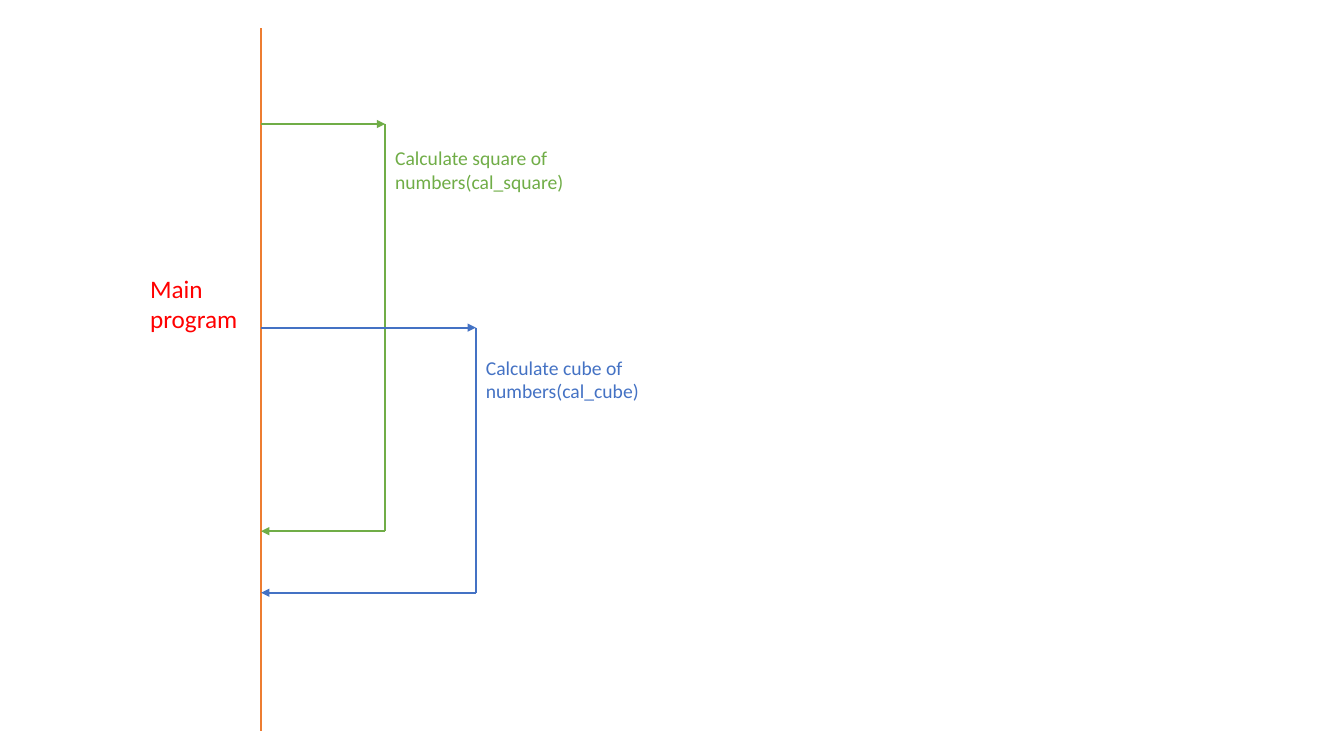
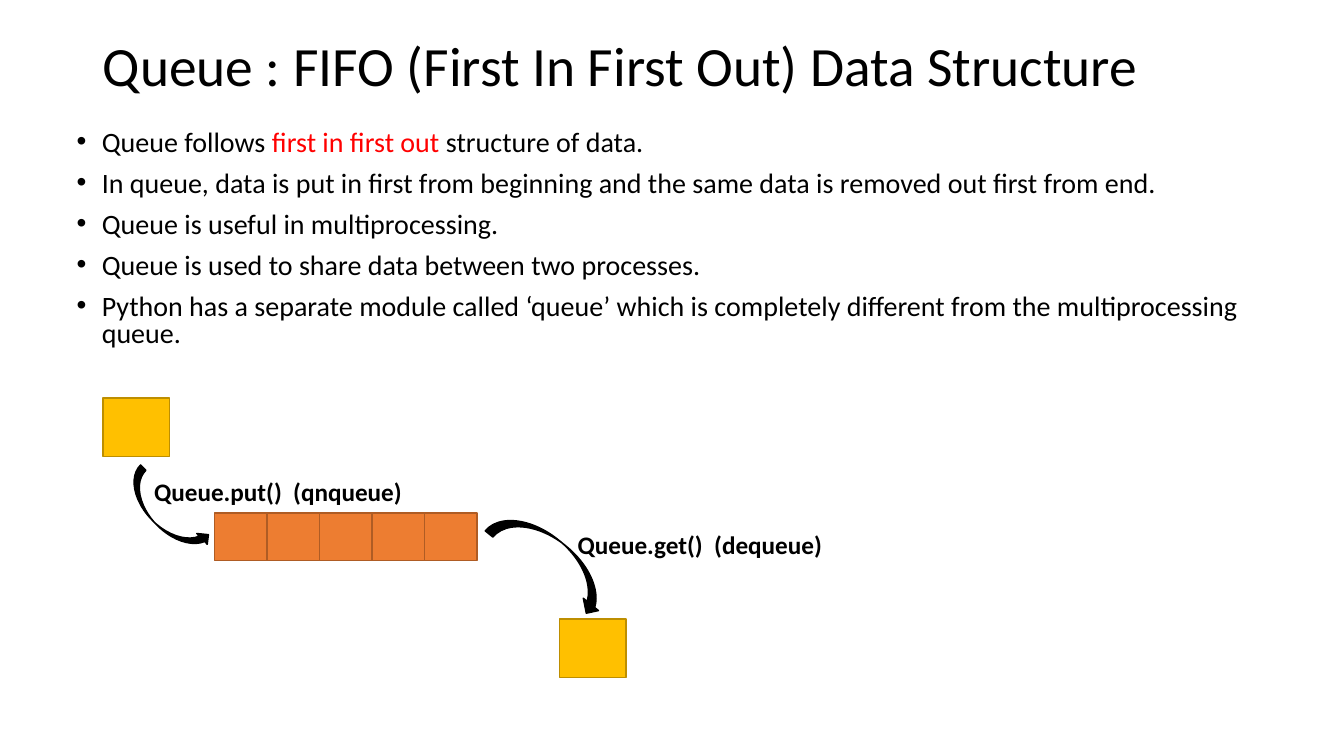
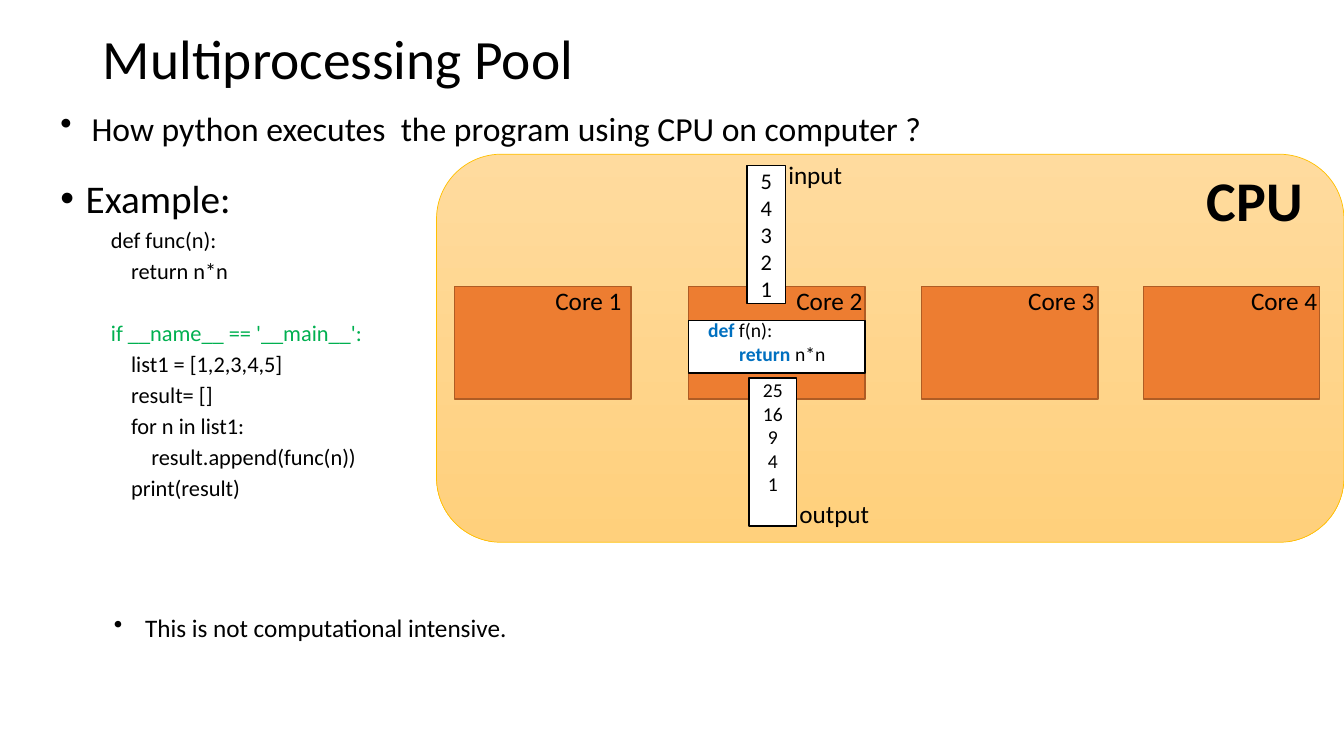
from lxml.etree import SubElement
from pptx import Presentation
from pptx.dml.color import RGBColor
from pptx.enum.shapes import MSO_CONNECTOR, MSO_SHAPE
from pptx.enum.text import MSO_ANCHOR, MSO_AUTO_SIZE, PP_ALIGN
from pptx.oxml.ns import qn
from pptx.util import Inches, Pt

FONT = "Calibri"
COLORS = {
    "black": "000000", "white": "FFFFFF", "red": "FF0000",
    "orange": "ED7D31", "orange_edge": "AF5C24",
    "gold": "FFC000", "gold_edge": "BD8E00",
    "green": "70AD47", "blue": "4472C4",
    "code_green": "00B050", "keyword": "0070C0",
    "cpu_top": "FFDB9E", "cpu_bottom": "FFD07C",
}
BLANK, TITLE_BODY = 6, 1


def rgb(name):
    return RGBColor.from_string(COLORS[name])


class Deck:
    """Holds the shared style and the slide being built."""

    def __init__(self):
        self.prs = Presentation()
        self.prs.slide_width = Inches(13.33)
        self.prs.slide_height = Inches(7.5)
        self.s = None

    def new_slide(self, layout):
        self.s = self.prs.slides.add_slide(self.prs.slide_layouts[layout])

    def place(self, sp, x, y, w, h):
        sp.left, sp.top, sp.width, sp.height = map(Inches, (x, y, w, h))

    def style(self, p, size, color="black", bold=False):
        for r in p.runs:
            r.font.name, r.font.size, r.font.bold = FONT, Pt(size), bold
            r.font.color.rgb = rgb(color)

    def indent(self, p, left, hanging=0):
        """Set the indent; a hanging one gets a bullet."""
        pPr = p._p.get_or_add_pPr()
        pPr.set("marL", str(Inches(left)))
        pPr.set("indent", str(-Inches(hanging)))
        if hanging:
            SubElement(pPr, qn("a:buChar")).set("char", "•")
        else:
            SubElement(pPr, qn("a:buNone"))

    def color_runs(self, p, pieces, size):
        """Fill a paragraph with (text, colour, bold) pieces."""
        for text, color, bold in pieces:
            r = p.add_run()
            r.text = text
            r.font.name, r.font.size, r.font.bold = FONT, Pt(size), bold
            r.font.color.rgb = rgb(color)

    def title(self, text, w, h):
        sp = self.s.shapes.title
        self.place(sp, 0.92, 0.4, w, h)
        tf = sp.text_frame
        tf.text = text
        tf.auto_size = MSO_AUTO_SIZE.NONE
        tf.vertical_anchor = MSO_ANCHOR.MIDDLE
        p = tf.paragraphs[0]
        p.alignment, p.line_spacing = PP_ALIGN.LEFT, 0.9
        self.style(p, 39.6)

    def body(self, lines, x, y, w, h):
        sp = self.s.placeholders[1]
        self.place(sp, x, y, w, h)
        tf = sp.text_frame
        tf.text = "\n".join(lines)
        tf.auto_size = MSO_AUTO_SIZE.NONE
        return tf.paragraphs

    def label(self, text, x, y, w, h, size=18, color="black", bold=False, bullet=False):
        sp = self.s.shapes.add_textbox(*map(Inches, (x, y, w, h)))
        tf = sp.text_frame
        tf.text = text
        tf.word_wrap = False
        tf.auto_size = MSO_AUTO_SIZE.SHAPE_TO_FIT_TEXT
        for p in tf.paragraphs:
            if bullet:
                self.indent(p, 0.31, 0.31)
            self.style(p, size, color, bold)
        return tf

    def shape(self, kind, x, y, w, h, fill, edge, width=1, rotation=0):
        sp = self.s.shapes.add_shape(kind, *map(Inches, (x, y, w, h)))
        sp.shadow.inherit = False
        sp.rotation = rotation
        sp.fill.solid()
        sp.fill.fore_color.rgb = rgb(fill)
        sp.line.color.rgb = rgb(edge)
        sp.line.width = Pt(width)
        return sp

    def box(self, x, y, w, h, fill="orange", edge="orange_edge"):
        return self.shape(MSO_SHAPE.RECTANGLE, x, y, w, h, fill, edge)

    def number_stack(self, numbers, x, y, w, h, size, anchor):
        tf = self.box(x, y, w, h, "white", "black").text_frame
        tf.margin_left = tf.margin_right = tf.margin_top = tf.margin_bottom = 0
        tf.vertical_anchor = anchor
        tf.text = "\n".join(map(str, numbers))
        for p in tf.paragraphs:
            p.alignment = PP_ALIGN.CENTER
            self.style(p, size)

    def line(self, x1, y1, x2, y2, color, arrow=False):
        c = self.s.shapes.add_connector(
            MSO_CONNECTOR.STRAIGHT, *map(Inches, (x1, y1, x2, y2)))
        c.line.color.rgb = rgb(color)
        c.line.width = Pt(1.5)
        if arrow:
            SubElement(c.line._get_or_add_ln(), qn("a:tailEnd")).set("type", "triangle")
        SubElement(c._element.spPr, qn("a:effectLst"))


def program_flow(d):
    d.new_slide(BLANK)
    main_x = 2.59
    d.line(main_x, 0.28, main_x, 7.25, "orange")
    d.label("Main\nprogram", 1.39, 2.66, 1.08, 0.71, color="red")

    # Each call leaves the main line and returns to it
    calls = [
        (3.82, 1.23, 5.27, "green", "Calculate square of\nnumbers(cal_square)", 1.4, 1.89),
        (4.72, 3.25, 5.88, "blue", "Calculate cube of\nnumbers(cal_cube)", 3.48, 1.73),
    ]
    for x, start, end, color, text, text_y, text_w in calls:
        d.line(main_x, start, x, start, color, arrow=True)
        d.line(x, start, x, end, color)
        d.line(x, end, main_x, end, color, arrow=True)
        d.label(text, x, text_y, text_w, 0.57, 14, color)


def queue(d):
    d.new_slide(TITLE_BODY)
    d.title("Queue : FIFO (First In First Out) Data Structure", 11.5, 0.56)
    paragraphs = d.body([
        "",
        "In queue, data is put in first from beginning and the same data is removed out first from end.",
        "Queue is useful in multiprocessing.",
        "Queue is used to share data between two processes.",
        "Python has a separate module called ‘queue’ which is completely different "
        "from the multiprocessing queue.",
    ], 0.66, 1.25, 11.76, 2.3)
    d.color_runs(paragraphs[0], [
        ("Queue follows ", "black", False),
        ("first in first out ", "red", False),
        ("structure of data.", "black", False),
    ], 20)
    for i, p in enumerate(paragraphs):
        d.indent(p, 0.25, 0.25)
        p.line_spacing, p.space_before = 0.8, Pt(10 if i else 0)
        if i:
            d.style(p, 20)

    # Items entering and leaving the queue cells
    for x, y in [(1.02, 3.95), (5.55, 6.14)]:
        d.box(x, y, 0.66, 0.58, "gold", "gold_edge")
    cell_w = 0.52
    for i in range(5):
        d.box(2.13 + i * cell_w, 5.09, cell_w, 0.47)
    d.shape(MSO_SHAPE.CURVED_RIGHT_ARROW, 1.5, 4.57, 0.3, 1.04, "black", "black", rotation=315.8)
    d.shape(MSO_SHAPE.CURVED_LEFT_ARROW, 5.28, 4.86, 0.39, 1.39, "black", "black", rotation=309.2)
    d.label("Queue.put()  (qnqueue)", 1.43, 4.68, 2.68, 0.4, bold=True)
    d.label("Queue.get()  (dequeue)", 5.63, 5.2, 2.65, 0.4, bold=True)


def pool(d):
    d.new_slide(TITLE_BODY)
    d.title("Multiprocessing Pool", 5.2, 0.43)
    main_guard = "if __name__ == '__main__':"
    heading, *code = d.body([
        "Example:",
        "def func(n):",
        "    return n*n",
        main_guard,
        "    list1 = [1,2,3,4,5]",
        "    result= []",
        "    for n in list1:",
        "        result.append(func(n))",
        "    print(result)",
    ], 0.5, 1.73, 3.9, 3.52)
    d.indent(heading, 0.25, 0.25)
    heading.line_spacing, heading.space_before = 0.9, Pt(0)
    d.style(heading, 28)
    for p in code:
        is_guard = p.text == main_guard
        p.level = 1
        d.indent(p, 0.5)
        p.line_spacing, p.space_before = 0.9, Pt(27 if is_guard else 5)
        d.style(p, 16, "code_green" if is_guard else "black")

    # CPU panel
    cpu = d.shape(MSO_SHAPE.ROUNDED_RECTANGLE, 4.33, 1.53, 9, 3.85, "cpu_top", "gold", 0.5)
    cpu.fill.gradient()
    cpu.fill.gradient_angle = 270
    for stop, color in zip(cpu.fill.gradient_stops, ("cpu_top", "cpu_bottom")):
        stop.color.rgb = rgb(color)
    d.label("CPU", 11.87, 1.59, 1.16, 0.77, 40, bold=True)
    d.label("How python executes  the program using CPU on computer ?",
            0.5, 1.02, 8.82, 0.5, 24, bullet=True)

    # Cores
    cores = [(4.51, 5.41), (6.83, 7.8), (9.14, 10.1), (11.34, 12.31)]
    for n, (core_x, label_x) in enumerate(cores, 1):
        d.box(core_x, 2.84, 1.75, 1.12)
        d.label(f"Core {n}", label_x, 2.78, 0.87, 0.4)

    # Function run by the second core
    d.box(6.83, 3.18, 1.75, 0.52, "white", "black")
    tf = d.label("", 6.88, 3.11, 1.41, 0.57)
    d.color_runs(tf.paragraphs[0], [
        (" def", "keyword", True), (" f(n):", "black", False)], 14)
    d.color_runs(tf.add_paragraph(), [
        ("        return", "keyword", True), (" n*n", "black", False)], 14)

    # Input and output values
    d.number_stack([5, 4, 3, 2, 1], 7.41, 1.64, 0.38, 1.37, 16, MSO_ANCHOR.MIDDLE)
    d.label("input", 7.72, 1.53, 0.74, 0.4)
    d.number_stack([25, 16, 9, 4, 1], 7.43, 3.75, 0.47, 1.47, 14, MSO_ANCHOR.TOP)
    d.label("output", 7.83, 4.89, 0.9, 0.4)
    d.label("This is not computational intensive.", 1.03, 6.03, 4.15, 0.4, bullet=True)


def main():
    d = Deck()
    program_flow(d)
    queue(d)
    pool(d)
    d.prs.save("out.pptx")


if __name__ == "__main__":
    main()
